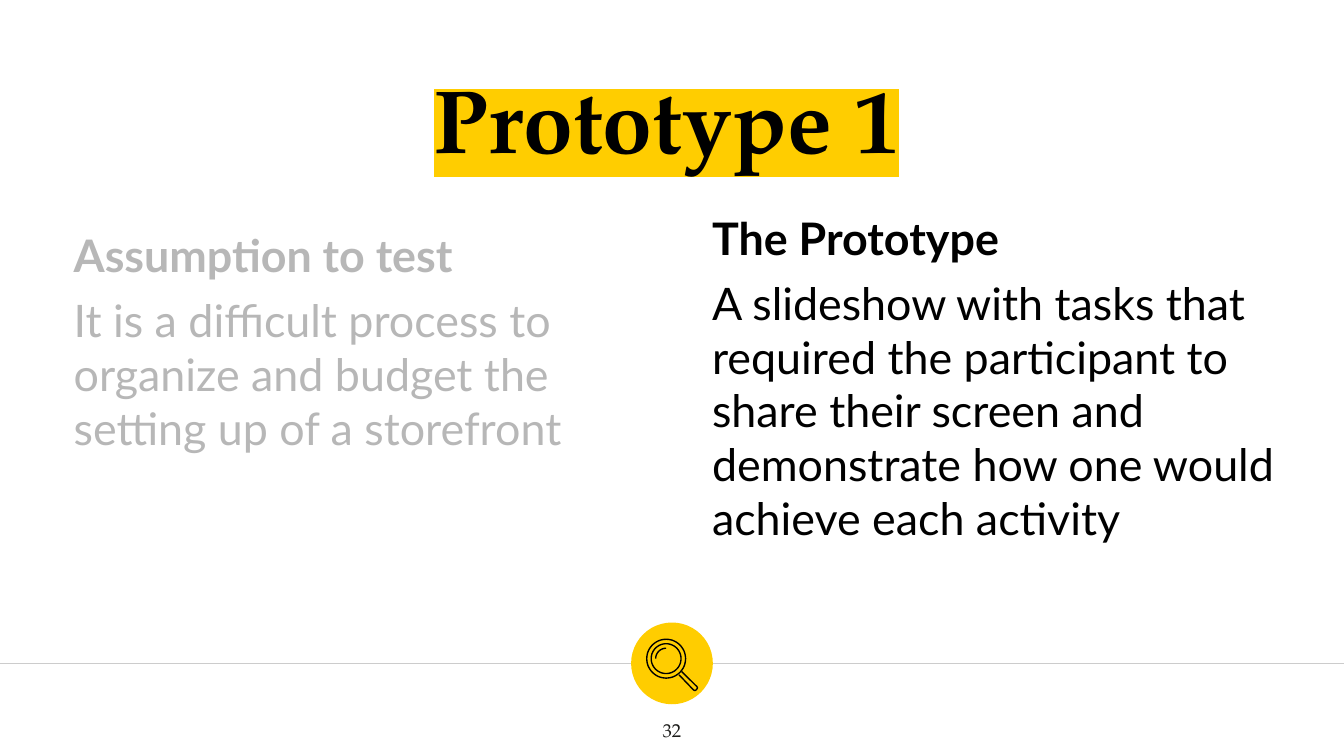
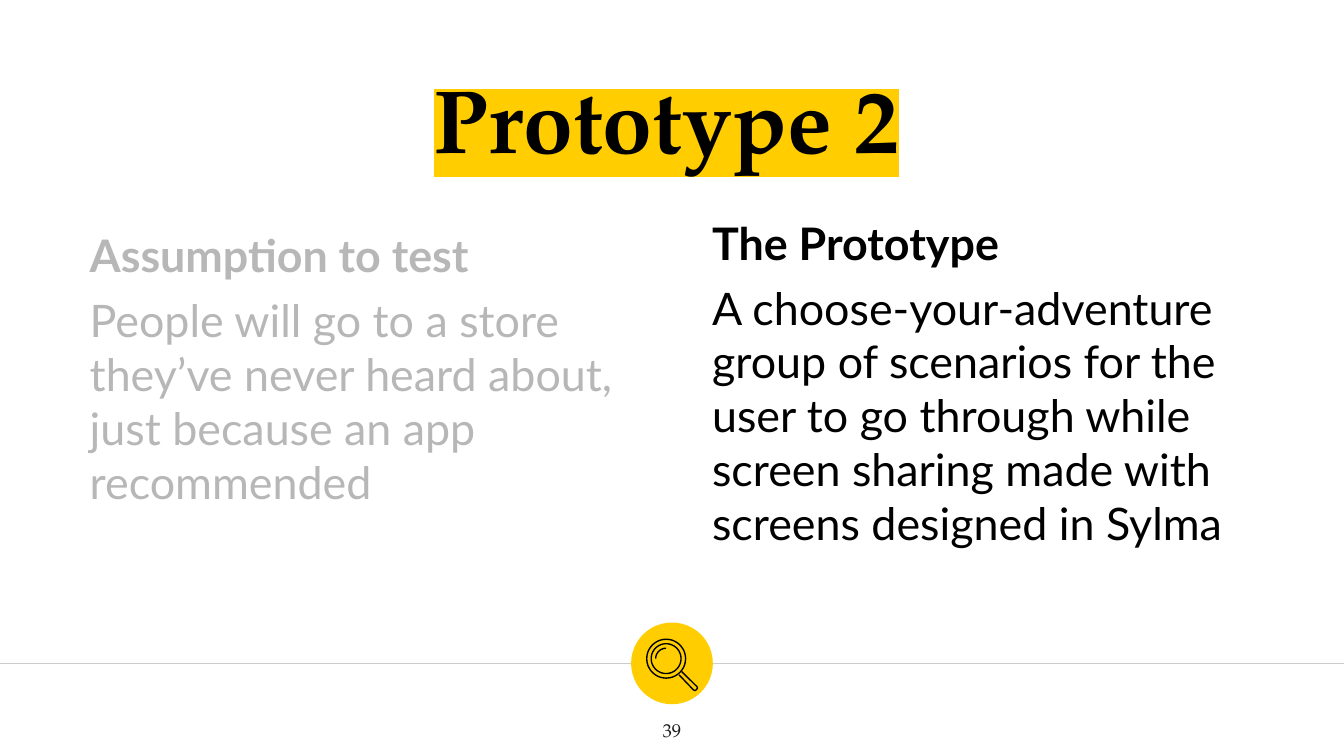
from math import cos, radians, sin

from lxml.etree import SubElement
from pptx import Presentation
from pptx.dml.color import RGBColor
from pptx.enum.shapes import MSO_CONNECTOR, MSO_SHAPE
from pptx.enum.text import MSO_ANCHOR, PP_ALIGN
from pptx.oxml.ns import qn
from pptx.util import Pt

PROTOTYPES = [
    {
        "title": "Prototype 1",
        "number": "32",
        "columns": [
            {"heading": "Assumption to test", "color": "muted", "left": 32.4, "top": 126, "bottom_inset": 36,
             "body": "It is a difficult process to organize and budget the setting up of a storefront"},
            {"heading": "The Prototype", "color": "black", "left": 374.4, "top": 145.4, "bottom_inset": 7.2,
             "body": "A slideshow with tasks that required the participant to share their screen "
                     "and demonstrate how one would achieve each activity"},
        ],
    },
    {
        "title": "Prototype 2",
        "number": "39",
        "columns": [
            {"heading": "Assumption to test", "color": "muted", "left": 41, "top": 126, "bottom_inset": 7.2,
             "body": "People will go to a store they’ve never heard about, just because an app recommended"},
            {"heading": "The Prototype", "color": "black", "left": 374.4, "top": 148, "bottom_inset": 7.2,
             "body": "A choose-your-adventure group of scenarios for the user to go through while "
                     "screen sharing made with screens designed in Sylma"},
        ],
    },
]

COLORS = {"yellow": "FFCD00", "black": "000000", "muted": "B7B7B7", "rule": "CCCCCC",
          "number": "1D1D1B", "white": "FFFFFF"}
SERIF, SANS = "TeX Gyre Pagella", "Lato"
WIDTH, HEIGHT = 720, 405
INSET = 7.2
COLUMN_SIZE = (324.7, 153.4)
RULE_Y = 355.4
BADGE_SIZE = 43.8
LENS_CENTER = (356.9, 352.9)
LENS_ARCS = [(10.4, 0, 360), (8, 0, 360), (5.6, 180, 270)]  # radius, start and end angle
HANDLE = [(363.8, 361.6), (371.6, 369.7), (372.2, 370), (372.9, 369.7), (373.5, 369),
          (373.7, 368.4), (373.3, 367.8), (365.2, 359.8)]


def color(name):
    return RGBColor.from_string(COLORS[name])


def add_text_box(slide, left, top, width, height, anchor, bottom_inset=INSET):
    frame = slide.shapes.add_textbox(Pt(left), Pt(top), Pt(width), Pt(height)).text_frame
    frame.word_wrap = True
    frame.vertical_anchor = anchor
    frame.margin_left = frame.margin_top = frame.margin_right = Pt(INSET)
    frame.margin_bottom = Pt(bottom_inset)
    return frame


def add_run(paragraph, text, size, font_name, color_name, bold=False):
    run = paragraph.add_run()
    run.text = text
    run.font.size, run.font.name, run.font.bold = Pt(size), font_name, bold
    run.font.color.rgb = color(color_name)
    return run


def highlight(run, color_name):
    properties = run.font._element
    mark = SubElement(properties, qn("a:highlight"))
    SubElement(mark, qn("a:srgbClr")).set("val", COLORS[color_name])
    properties.find(qn("a:solidFill")).addnext(mark)


def add_outline(group, points, closed):
    (start_x, start_y), *others = [(Pt(x), Pt(y)) for x, y in points]
    builder = group.shapes.build_freeform(start_x, start_y)
    builder.add_line_segments(others, close=closed)
    shape = builder.convert_to_shape()
    shape.shadow.inherit = False
    shape.fill.background()
    shape.line.color.rgb = color("black")
    shape.line.width = Pt(0.75)


def arc_points(radius, start, end, step=6):
    center_x, center_y = LENS_CENTER
    return [(center_x + radius * cos(radians(angle)), center_y + radius * sin(radians(angle)))
            for angle in range(start, end + 1, step)]


def add_magnifier(slide):
    group = slide.shapes.add_group_shape()
    for radius, start, end in LENS_ARCS:
        add_outline(group, arc_points(radius, start, end), closed=end - start == 360)
    add_outline(group, HANDLE, closed=False)


def add_footer_band(slide):
    rule = slide.shapes.add_connector(MSO_CONNECTOR.STRAIGHT, Pt(-0.7), Pt(RULE_Y), Pt(WIDTH + 0.7), Pt(RULE_Y))
    rule.line.color.rgb = color("rule")
    rule.line.width = Pt(0.75)
    SubElement(rule._element.spPr, qn("a:effectLst"))
    badge = slide.shapes.add_shape(MSO_SHAPE.OVAL, Pt((WIDTH - BADGE_SIZE) / 2), Pt(RULE_Y - BADGE_SIZE / 2),
                                   Pt(BADGE_SIZE), Pt(BADGE_SIZE))
    badge.shadow.inherit = False
    badge.fill.solid()
    badge.fill.fore_color.rgb = color("yellow")
    badge.line.fill.background()


def add_centered_line(slide, box, text, size, color_name, bold=False):
    paragraph = add_text_box(slide, *box, MSO_ANCHOR.MIDDLE).paragraphs[0]
    paragraph.alignment = PP_ALIGN.CENTER
    return add_run(paragraph, text, size, SERIF, color_name, bold)


def add_column(slide, column):
    frame = add_text_box(slide, column["left"], column["top"], *COLUMN_SIZE,
                         MSO_ANCHOR.BOTTOM, column["bottom_inset"])
    add_run(frame.paragraphs[0], column["heading"], 24, SANS, column["color"], bold=True)
    body = frame.add_paragraph()
    body.space_before = Pt(6)
    add_run(body, column["body"], 24, SANS, column["color"])


def add_prototype_slide(presentation, prototype):
    slide = presentation.slides.add_slide(presentation.slide_layouts[6])
    slide.background.fill.solid()
    slide.background.fill.fore_color.rgb = color("white")
    add_footer_band(slide)
    title = add_centered_line(slide, (51, 17.3, 612, 91.4), prototype["title"], 48, "black", bold=True)
    highlight(title, "yellow")
    add_centered_line(slide, (338.4, 377.3, 43.2, 27.4), prototype["number"], 10, "number")
    for column in prototype["columns"]:
        add_column(slide, column)
    add_magnifier(slide)


def main():
    presentation = Presentation()
    presentation.slide_width, presentation.slide_height = Pt(WIDTH), Pt(HEIGHT)
    for prototype in PROTOTYPES:
        add_prototype_slide(presentation, prototype)
    presentation.save("out.pptx")


if __name__ == "__main__":
    main()
